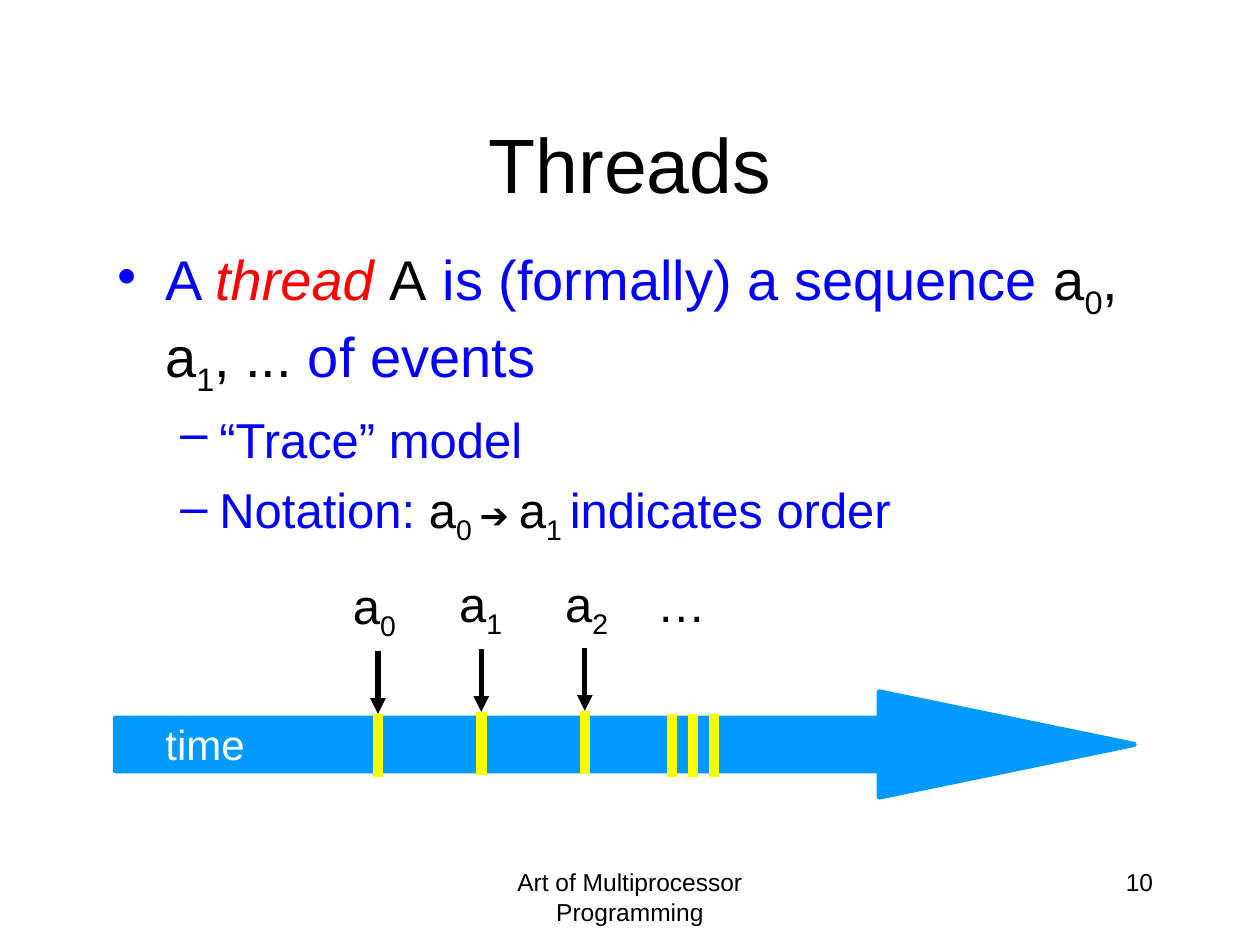
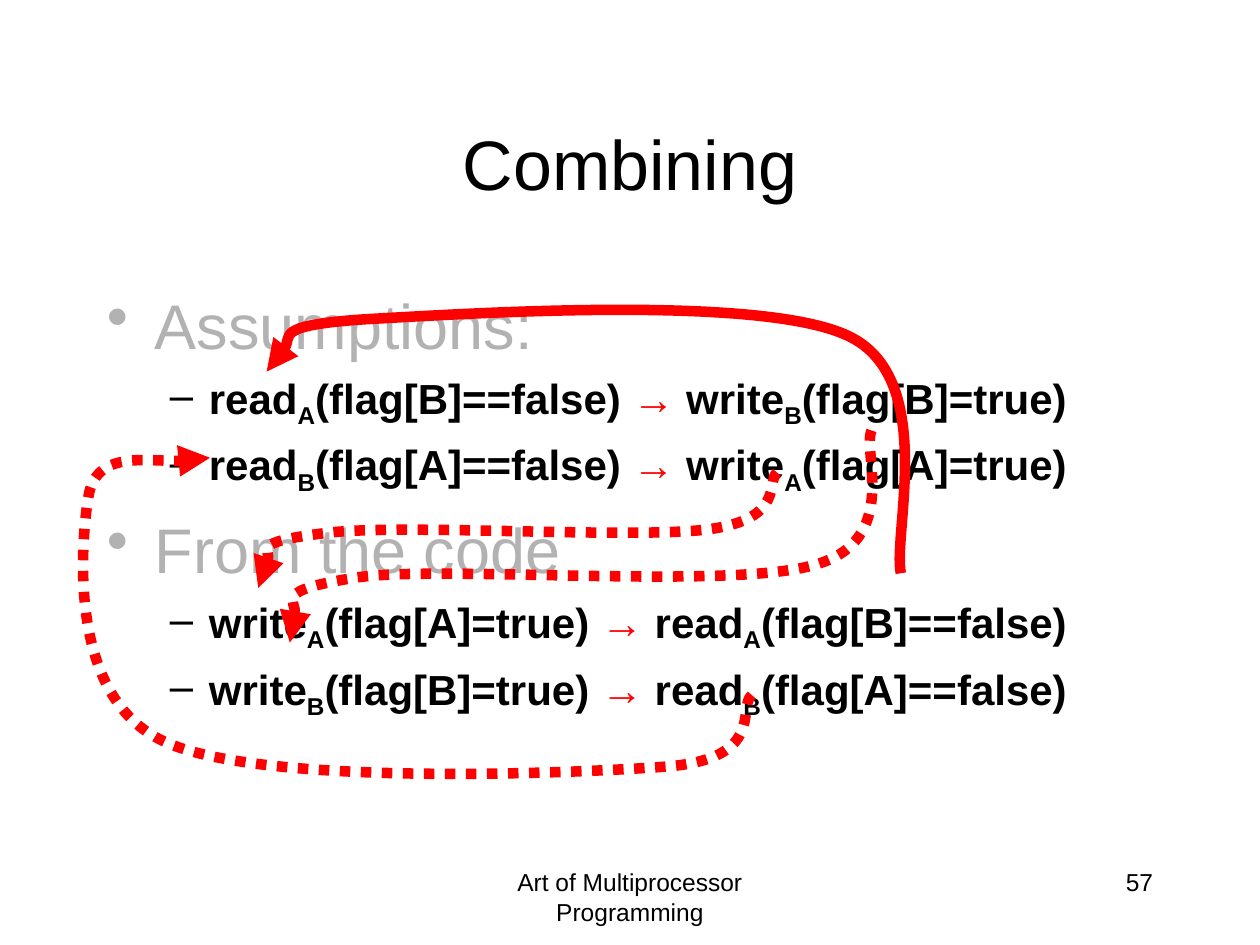
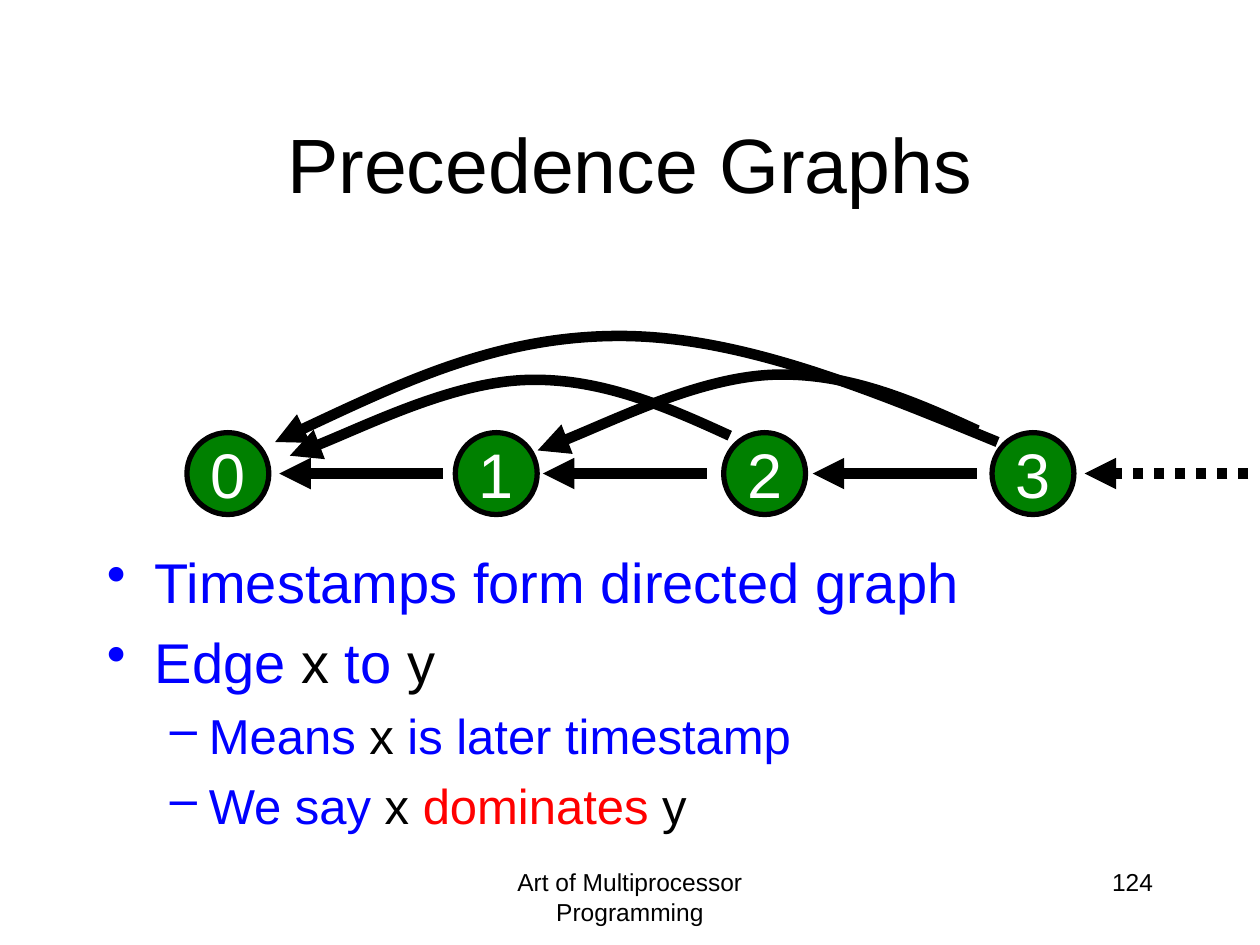
from pptx import Presentation
from pptx.dml.color import RGBColor
from pptx.enum.dml import MSO_LINE
from pptx.enum.shapes import MSO_CONNECTOR, MSO_SHAPE
from pptx.enum.text import MSO_ANCHOR, PP_ALIGN
from pptx.oxml.ns import qn
from pptx.oxml.xmlchemy import OxmlElement
from pptx.util import Inches, Pt

BLACK, WHITE, BLUE, RED = "000000", "FFFFFF", "0000FF", "FF0000"
GRAY, YELLOW, SKY, GREEN = "B2B2B2", "FFFF00", "0099FF", "008000"
FOOTER = "Art of Multiprocessor Programming"
COLS, ROWS = 120, 90
BULLETS = [("•", 0.38, -0.38), ("–", 0.81, -0.31)]


def color(hex_string):
    return RGBColor.from_string(hex_string)


def apply(target, values):
    for name, value in values.items():
        setattr(target, name, value)


class Deck:
    """Holds the shared style and the current slide; lengths are grid columns and rows."""

    font = "Arial"

    def __init__(self):
        self.prs = Presentation()
        apply(self.prs, {"slide_width": Inches(10), "slide_height": Inches(7.5)})
        self.cell = self.prs.slide_width / COLS
        self.s = None

    def emu(self, *lengths):
        return [round(n * self.cell) for n in lengths]

    def slide(self, title, number, title_size=44):
        self.s = self.prs.slides.add_slide(self.prs.slide_layouts[6])
        self.text((9, 8, 102, 15), title, title_size, align=PP_ALIGN.CENTER,
                  vertical_anchor=MSO_ANCHOR.MIDDLE)
        self.text((41, 82, 38, 6), FOOTER, 14, align=PP_ALIGN.CENTER)
        self.text((86, 82, 25, 6), str(number), 14)

    def runs(self, p, text, size, hex_color=BLACK, **font):
        """Adds text to a paragraph; parts in braces are subscripts."""
        for i, part in enumerate(text.replace("}", "{").split("{")):
            if not part:
                continue
            r = p.add_run()
            r.text = part
            apply(r.font, {"name": self.font, "size": Pt(size), **font})
            r.font.color.rgb = color(hex_color)
            if i % 2:
                r.font._element.set("baseline", "-25000")

    def text(self, box, text, size, hex_color=BLACK, align=PP_ALIGN.RIGHT, **frame):
        tf = self.s.shapes.add_textbox(*self.emu(*box)).text_frame
        apply(tf, {"word_wrap": True, **frame})
        p = tf.paragraphs[0]
        p.alignment = align
        self.runs(p, text, size, hex_color)

    def body(self, box, items):
        """Adds a bullet list; each item is (level, size, runs)."""
        tf = self.s.shapes.add_textbox(*self.emu(*box)).text_frame
        apply(tf, {"word_wrap": True, "margin_top": Inches(0.11)})
        for i, (level, size, parts) in enumerate(items):
            p = tf.add_paragraph() if i else tf.paragraphs[0]
            p.level = level
            p.space_before = Pt(round(0.23 * size, 1) if i else 0)
            char, margin, indent = BULLETS[level]
            pPr = p._p.get_or_add_pPr()
            pPr.set("marL", str(Inches(margin)))
            pPr.set("indent", str(Inches(indent)))
            bullet = OxmlElement("a:buChar")
            bullet.set("char", char)
            pPr.append(bullet)
            for text, hex_color, *font in parts:
                self.runs(p, text, **{"size": size, "hex_color": hex_color,
                                      **(font[0] if font else {})})

    def shape(self, kind, box, fill, line, adjustments=()):
        sp = self.s.shapes.add_shape(kind, *self.emu(*box))
        sp.shadow.inherit = False
        for i, value in enumerate(adjustments):
            sp.adjustments[i] = value
        sp.fill.solid()
        sp.fill.fore_color.rgb = color(fill)
        self.stroke(sp, line, 3)
        return sp

    def stroke(self, sp, hex_color, width, arrow=False, dotted=False):
        sp.line.color.rgb = color(hex_color)
        sp.line.width = Pt(width)
        if dotted:
            sp.line.dash_style = MSO_LINE.ROUND_DOT
        if arrow:
            tail = OxmlElement("a:tailEnd")
            tail.set("type", "triangle")
            sp.line._get_or_add_ln().append(tail)

    def line(self, start, end, hex_color, width, **style):
        c = self.s.shapes.add_connector(MSO_CONNECTOR.STRAIGHT,
                                        *self.emu(*start, *end))
        self.stroke(c, hex_color, width, **style)
        c._element.spPr.append(OxmlElement("a:effectLst"))

    def curve(self, points, hex_color, dotted=False):
        """Draws a Bézier arrow: a start point, then three points per segment."""
        start, *rest = [self.emu(*point) for point in points]
        builder = self.s.shapes.build_freeform(*start)
        builder.add_line_segments(rest, close=False)
        sp = builder.convert_to_shape()
        sp.shadow.inherit = False
        sp.fill.background()
        steps = list(sp._element.iter(qn("a:lnTo")))
        for i in range(0, len(steps), 3):
            bezier = OxmlElement("a:cubicBezTo")
            steps[i].addprevious(bezier)
            for step in steps[i:i + 3]:
                bezier.append(step[0])
                step.getparent().remove(step)
        self.stroke(sp, hex_color, 6, arrow=True, dotted=dotted)

    def node(self, box, label):
        sp = self.shape(MSO_SHAPE.OVAL, box, GREEN, BLACK)
        tf = sp.text_frame
        apply(tf, {"word_wrap": False, "vertical_anchor": MSO_ANCHOR.MIDDLE})
        tf.paragraphs[0].alignment = PP_ALIGN.CENTER
        self.runs(tf.paragraphs[0], label, 36, WHITE)


def threads(d):
    d.slide("Threads", 10)
    d.shape(MSO_SHAPE.RIGHT_ARROW, (11, 65.9, 97, 10), SKY, SKY, (0.5, 2.425))
    d.text((14.4, 67.8, 10.1, 6.1), "time", 24, WHITE, word_wrap=False)
    d.body((10, 22, 102, 43), [
        (0, 32, [("A ", BLUE), ("thread ", RED, {"italic": True}), ("A", BLACK),
                 (" is (formally) a sequence ", BLUE),
                 ("a{0}, a{1}, ... ", BLACK), ("of events", BLUE)]),
        (1, 28, [("“Trace” model", BLUE)]),
        (1, 28, [("Notation: ", BLUE), ("a{0 }", BLACK), ("➔ ", BLACK, {"size": 20}),
                 ("a{1 }", BLACK), ("indicates order", BLUE)]),
    ])
    events = [(36, 62), (45.84, 61.8), (55.7, 61.7)]
    for x, y in events:
        d.line((x, y), (x, y + 6), BLACK, 3, arrow=True)
    for x, y in [(x, y + 6) for x, y in events] + [(x, 68) for x in (64, 66, 68)]:
        d.line((x, y), (x, y + 6), YELLOW, 6)
    labels = [("a{0}", 31.9, 54.2), ("a{1}", 42, 54), ("a{2}", 52.1, 54), ("…", 61.4, 54)]
    for label, x, y in labels:
        d.text((x, y, 7, 6.8), label, 28, word_wrap=False)


def combining(d):
    def order(first, second):
        bold = {"bold": True}
        return 1, 24, [(first + " ", BLACK, bold), ("→", RED, bold),
                       (" " + second, BLACK, bold)]

    d.slide("Combining", 57, title_size=40)
    d.body((9, 26, 102, 54), [
        (0, 36, [("Assumptions:", GRAY)]),
        order("read{A}(flag[B]==false)", "write{B}(flag[B]=true)"),
        order("read{B}(flag[A]==false)", "write{A}(flag[A]=true)"),
        (0, 36, [("From the code", GRAY)]),
        order("write{A}(flag[A]=true)", "read{A}(flag[B]==false)"),
        order("write{B}(flag[B]=true)", "read{B}(flag[A]==false)"),
    ])
    read_b_to_read_b = [
        (71.6, 66.2), (70.2, 67.3), (73, 72.2), (63.6, 73), (54.2, 73.7),
        (24.7, 74.9), (15.6, 70.6), (6.4, 66.4), (7.7, 51.8), (8.4, 47.4),
        (9.1, 42.8), (17.6, 44.4), (20, 43.6)]
    write_b_to_write_b = [
        (83, 41), (82.1, 43.1), (85.8, 51.5), (77.6, 53.8), (69.5, 56.2),
        (42.4, 53.8), (34, 55), (25.7, 56.3), (28.9, 59.9), (27.6, 61.2)]
    write_a_to_write_a = [
        (74, 45), (73, 45.8), (74.8, 49.4), (67.6, 50.4), (60.4, 51.4),
        (37.9, 49.8), (30.8, 50.8), (23.6, 51.7), (25.9, 55), (24.6, 56)]
    read_a_to_read_a = [
        (85.8, 54.6), (85, 50.9), (89.3, 36), (80.8, 32), (72.4, 28),
        (44.3, 29.9), (35, 30.4), (25.8, 31), (27.4, 34.3), (25.4, 35.4)]
    for points in (read_b_to_read_b, write_b_to_write_b, write_a_to_write_a):
        d.curve(points, RED, dotted=True)
    d.curve(read_a_to_read_a, RED)


def precedence_graphs(d):
    d.slide("Precedence Graphs", 124)
    for i in range(4):
        d.node((17.8 + 25.56 * i, 41.2, 7.8, 7.8), str(i))
    for i, x in enumerate((42.2, 67.3, 93, 118.9)):
        d.line((x, 45.1), (x - 15.6, 45.1), BLACK, 6, arrow=True, dotted=i == 3)
    long_arc = [(95, 42.1), (82.8, 37.1), (70.6, 32), (59, 32),
                (47.5, 32), (36.8, 37.1), (26.2, 42.1)]
    short_arc = [(69.5, 41.5), (63.2, 38.6), (56.9, 35.9), (49.9, 36.2),
                 (43, 36.5), (31.3, 42.2), (27.6, 43.4)]
    next_arc = [(x + 23.6, y - 0.5) for x, y in short_arc]
    for points in (long_arc, short_arc, next_arc):
        d.curve(points, BLACK)
    d.body((9, 50.8, 102, 29.3), [
        (0, 32, [("Timestamps form directed graph", BLUE)]),
        (0, 32, [("Edge ", BLUE), ("x", BLACK), (" to ", BLUE), ("y", BLACK)]),
        (1, 28, [("Means ", BLUE), ("x", BLACK), (" is later timestamp", BLUE)]),
        (1, 28, [("We say ", BLUE), ("x ", BLACK), ("dominates ", RED), ("y", BLACK)]),
    ])


def main():
    d = Deck()
    for build in (threads, combining, precedence_graphs):
        build(d)
    d.prs.save("out.pptx")


if __name__ == "__main__":
    main()
